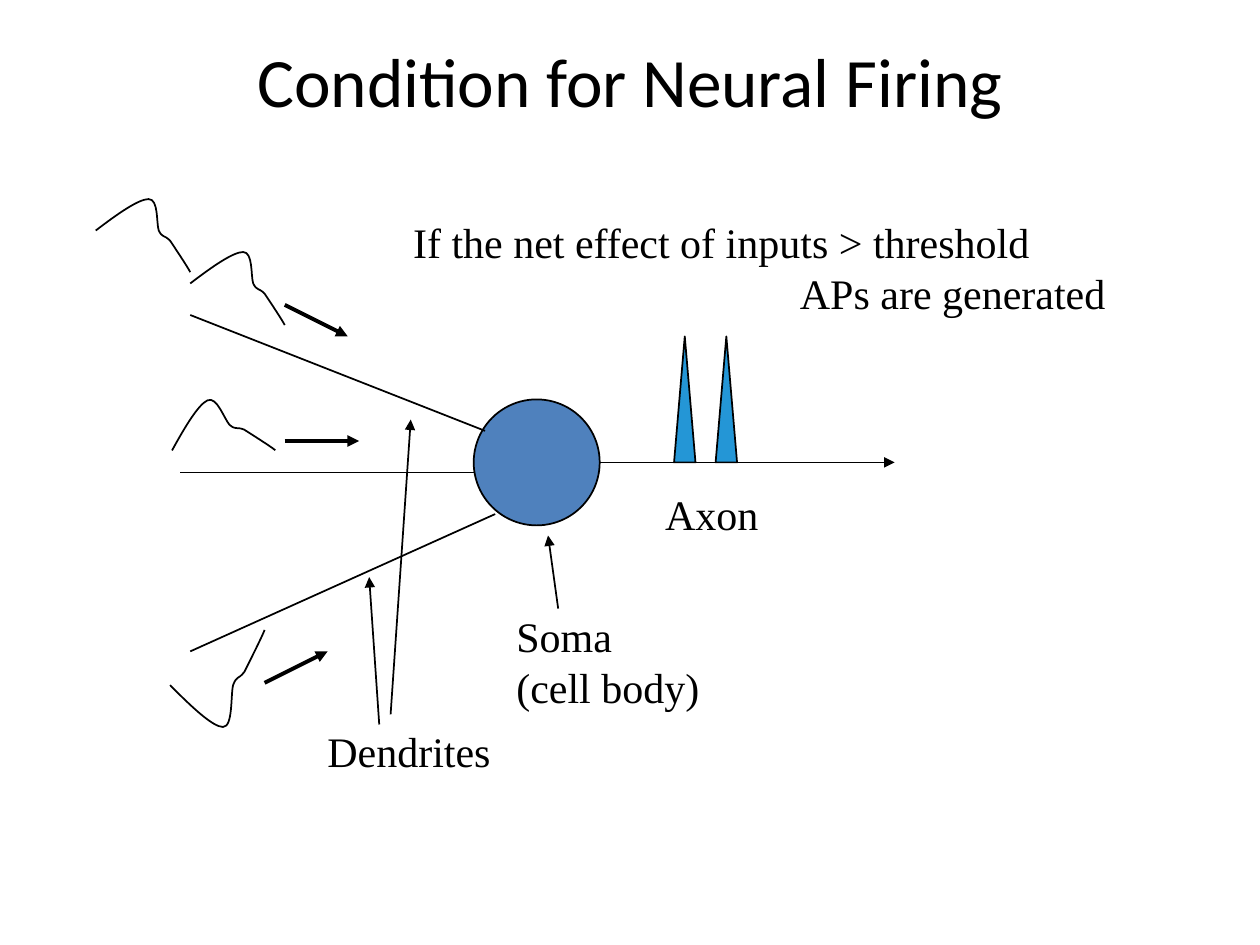
from lxml import etree
from pptx import Presentation
from pptx.dml.color import RGBColor
from pptx.enum import shapes, text
from pptx.oxml.ns import qn
from pptx.util import Inches, Pt

BLACK, BLUE, SKY = "000000", "4F81BD", "2496D6"
TITLE = "Condition for Neural Firing"
SOMA = (3.76, 3.17, 1, 1)
DENDRITES = [(1.51, 2.5, 3.85, 3.42), (1.43, 3.75, 3.76, 3.75),
             (1.51, 5.17, 3.93, 4.08)]
INPUTS = [(2.26, 2.42, 2.76, 2.67), (2.26, 3.5, 2.85, 3.5),
          (2.1, 5.42, 2.6, 5.17)]
AXON = (4.76, 3.67, 7.1, 3.67)
POINTERS = [(3.01, 5.75, 2.93, 4.58), (3.1, 5.67, 3.26, 3.33),
            (4.43, 4.83, 4.35, 4.25)]
WAVE = [(0, .25), (.17, .12), (.34, 0), (.42, 0), (.5, 0), (.48, .19),
        (.5, .25), (.53, .31), (.54, .28), (.59, .33), (.63, .39),
        (.73, .54), (.75, .58)]
WAVE_H = .58
WAVES = [(.76, 1.58, WAVE_H, False, 0), (1.51, 2, WAVE_H, False, 0),
         (1.35, 3.17, WAVE_H, False, 336.1), (1.35, 5, .77, True, 0)]
SPIKES = [5.35, 5.68]
LABELS = [
    (2.5, 5.71, 1.5, .5, [("Dendrites", 0)]),
    (4, 4.8, 1.65, .9, [("Soma", 0), ("(cell body)", 0)]),
    (5.18, 3.83, .94, .5, [("Axon", 0)]),
    (3.18, 1.67, 5.72, .91, [("If the net effect of inputs > threshold", 0),
                             ("APs are generated", 3.07)]),
]


def color(code):
    return RGBColor.from_string(code)


def style(font, name, size):
    font.name, font.size = name, Pt(size)
    font.color.rgb = color(BLACK)


def outline(item, width=1):
    item.line.color.rgb = color(BLACK)
    item.line.width = Pt(width)


def add_solid(slide, kind, box, fill):
    item = slide.shapes.add_shape(kind, *map(Inches, box))
    item.shadow.inherit = False
    item.fill.solid()
    item.fill.fore_color.rgb = color(fill)
    outline(item)


def add_line(slide, ends, width=1, arrow=True):
    item = slide.shapes.add_connector(
        shapes.MSO_CONNECTOR.STRAIGHT, *map(Inches, ends))
    outline(item, width)
    if arrow:
        tail = etree.SubElement(item.line._get_or_add_ln(), qn("a:tailEnd"))
        tail.set("type", "triangle")
    etree.SubElement(item._element.spPr, qn("a:effectLst"))


def add_wave(slide, left, top, height, flip, turn):
    ratio = height / WAVE_H
    spots = [(Inches(left + x), Inches(top + ratio * (WAVE_H - y if flip else y)))
             for x, y in WAVE]
    pen = slide.shapes.build_freeform(*spots[0], scale=1.0)
    pen.add_line_segments(spots[1:], close=False)
    item = pen.convert_to_shape()
    steps = list(item._element.iter(qn("a:lnTo")))
    for i in range(0, len(steps), 3):
        curve = etree.Element(qn("a:cubicBezTo"))
        steps[i].addprevious(curve)
        for step in steps[i:i + 3]:
            curve.append(step[0])
            step.getparent().remove(step)
    item.shadow.inherit = False
    item.fill.background()
    item.rotation = turn
    outline(item)


def add_label(slide, left, top, width, height, rows):
    item = slide.shapes.add_textbox(*map(Inches, (left, top, width, height)))
    frame = item.text_frame
    frame.word_wrap = any(indent for _, indent in rows)
    frame.text = "\n".join(words for words, _ in rows)
    for para, (_, indent) in zip(frame.paragraphs, rows):
        if indent:
            para._p.get_or_add_pPr().set("marL", str(Inches(indent)))
        style(para.runs[0].font, "Times New Roman", 24)


def add_title(slide):
    item = slide.shapes.title
    item.left, item.top, item.width, item.height = map(Inches, (.5, .3, 9, 1.25))
    frame = item.text_frame
    frame.text = TITLE
    frame.vertical_anchor = text.MSO_ANCHOR.TOP
    frame.margin_top = 0
    para = frame.paragraphs[0]
    para.alignment = text.PP_ALIGN.CENTER
    style(para.runs[0].font, "Calibri", 39.6)


def main():
    deck = Presentation()
    deck.slide_width, deck.slide_height = Inches(10), Inches(7.5)
    slide = deck.slides.add_slide(deck.slide_layouts[5])
    add_title(slide)
    add_solid(slide, shapes.MSO_SHAPE.OVAL, SOMA, BLUE)
    for ends in DENDRITES:
        add_line(slide, ends, arrow=False)
    for ends in INPUTS:
        add_line(slide, ends, 2.25)
    for ends in [AXON] + POINTERS:
        add_line(slide, ends)
    for wave in WAVES:
        add_wave(slide, *wave)
    for left in SPIKES:
        add_solid(slide, shapes.MSO_SHAPE.ISOSCELES_TRIANGLE,
                  (left, 2.67, .17, 1), SKY)
    for label in LABELS:
        add_label(slide, *label)
    deck.save("out.pptx")


if __name__ == "__main__":
    main()
